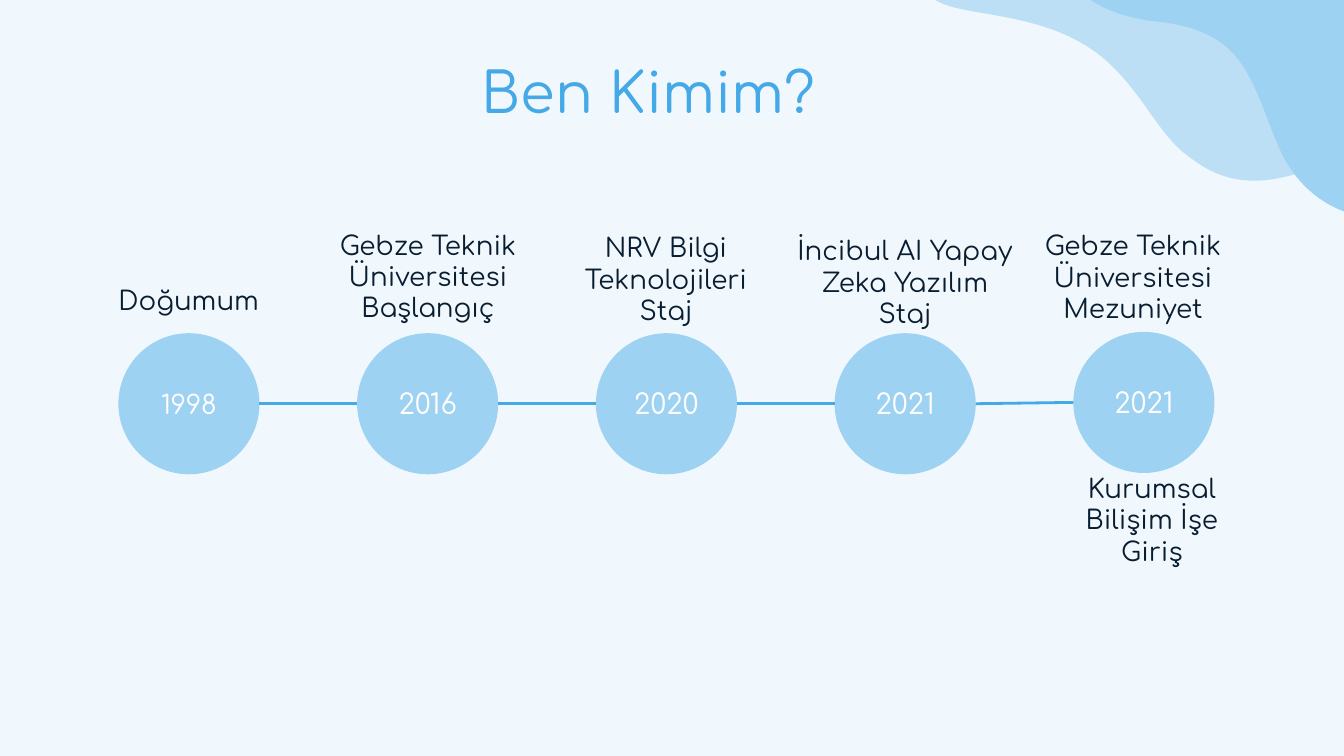
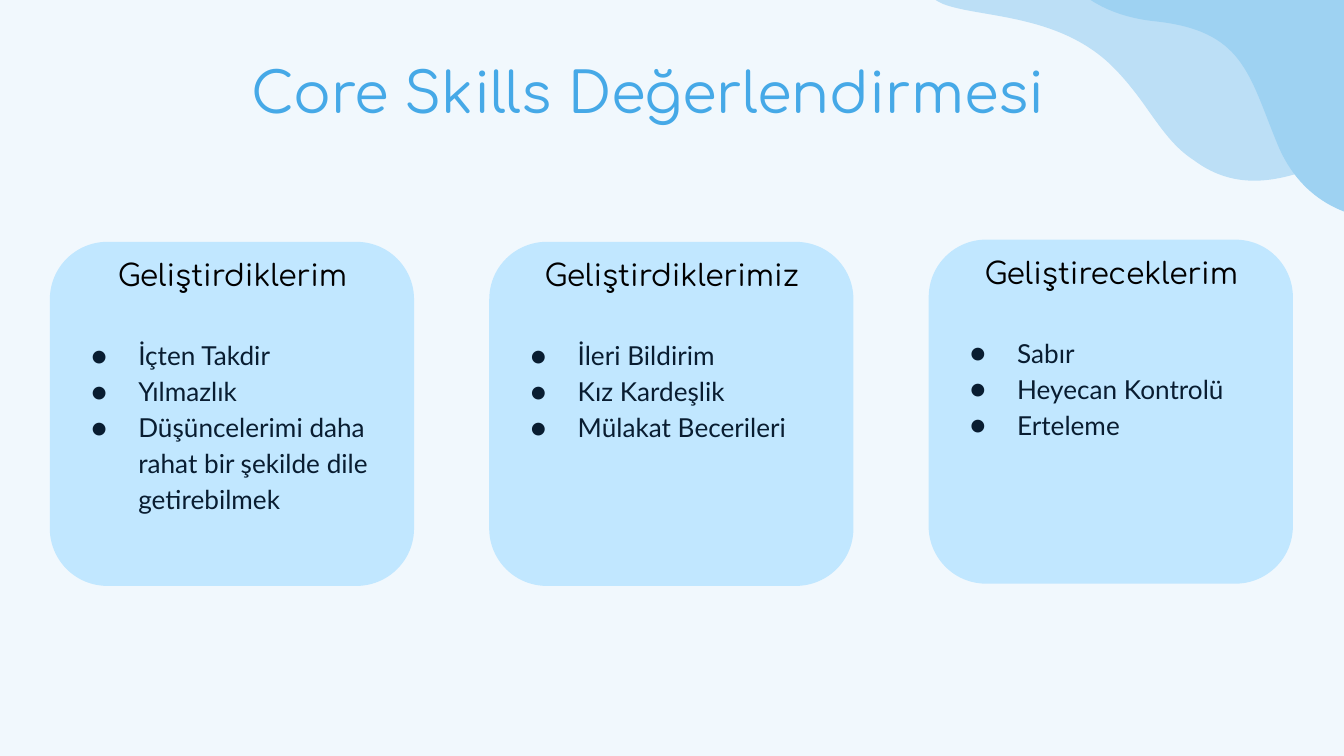
"""Build a timeline slide and a skills slide."""
from dataclasses import dataclass

from lxml.etree import SubElement
from pptx import Presentation
from pptx.dml.color import RGBColor
from pptx.enum.shapes import MSO_CONNECTOR, MSO_SHAPE
from pptx.enum.text import MSO_ANCHOR, PP_ALIGN
from pptx.oxml.ns import qn
from pptx.util import Pt


@dataclass(frozen=True)
class Theme:
    """Colours, fonts and type sizes."""
    blue: str = "46A9E7"
    sky: str = "9ED2F2"
    haze: str = "BCDFF6"
    card: str = "C1E7FF"
    ink: str = "091D31"
    black: str = "000000"
    white: str = "FFFFFF"
    head: str = "Comfortaa"
    body: str = "Lato"
    title: int = 30
    sub: int = 16
    year: int = 15
    text: int = 14


T = Theme()

STOPS = [
    ("1998", T.text, 178.5),
    ("2016", T.year, 178.5),
    ("2020", T.year, 178.5),
    ("2021", T.year, 178.5),
    ("2021", T.year, 177.8),
]
LABELS = [
    (["Doğumum"], (49.7, 144.4, 103, 33.1)),
    (["Gebze Teknik Üniversitesi Başlangıç"], (169.9, 128.5, 118.8, 38.9)),
    (["NRV Bilgi Teknolojileri Staj"], (297.4, 129.9, 118.8, 38.9)),
    (["İncibul AI Yapay Zeka Yazılım", "Staj"], (411.8, 131.4, 146.2, 38.9)),
    (["Gebze Teknik Üniversitesi", "Mezuniyet"], (539.3, 128.9, 135.4, 38.9)),
    (["Kurumsal Bilişim İşe Giriş"], (557.7, 258.8, 118.8, 38.9)),
]
CARDS = [
    ("Geliştirdiklerim", 129.6, 110.9,
     ["İçten Takdir", "Yılmazlık",
      "Düşüncelerimi daha rahat bir şekilde dile getirebilmek"]),
    ("Geliştirdiklerimiz", 129.6, 72,
     ["İleri Bildirim", "Kız Kardeşlik", "Mülakat Becerileri"]),
    ("Geliştireceklerim", 128.4, 72,
     ["Sabır", "Heyecan Kontrolü", "Erteleme"]),
]
WAVES = [
    (T.haze, (476.6, -31.7), [
        (479.5, -23), (490.3, -4.3), (505.4, 2.2),
        (524.2, 9.4), (564.5, 7.2), (593.3, 33.1),
        (601.9, 41), (609.1, 50.4), (615.6, 59.8),
        (622.8, 69.8), (629.3, 79.2), (639.4, 85.7),
        (673.9, 111.6), (709.9, 85.7), (743.8, 73.4),
        (763.2, 66.2), (777.6, 64.8), (802.8, 73.4),
        (820.1, 80.6), (826.6, 94.3), (833, 110.2),
    ], (835.2, -16.6)),
    (T.sky, (557.3, -49), [
        (558, -20.9), (576.7, 7.2), (619.2, 11.5),
        (666, 16.6), (668.9, 39.6), (684, 76.3),
        (697.7, 110.9), (726.5, 116.6), (738, 117.4),
    ], (738, -49)),
]
DISC, STEP, LEFT = 75.6, 127.9, 63.4
CARD_W, CARD_H, CARD_X, CARD_STEP = 195.1, 184.3, 26.7, 235.4


def paint(part, tint):
    part.fill.solid()
    part.fill.fore_color.rgb = RGBColor.from_string(tint)
    part.line.fill.background()
    part.shadow.inherit = False


def write(part, lines, size, tint, font=T.head, dots=False, mid=True):
    frame = part.text_frame
    frame.word_wrap = True
    frame.vertical_anchor = MSO_ANCHOR.MIDDLE if mid else MSO_ANCHOR.TOP
    for side in ("left", "right", "top", "bottom"):
        setattr(frame, "margin_" + side, Pt(7.2))
    for num, line in enumerate(lines):
        para = frame.add_paragraph() if num else frame.paragraphs[0]
        para.alignment = PP_ALIGN.LEFT if dots else PP_ALIGN.CENTER
        if dots:
            dot(para, font)
        run = para.add_run()
        run.text = line
        run.font.size = Pt(size)
        run.font.name = font
        run.font.color.rgb = RGBColor.from_string(tint)


def dot(para, font):
    para.line_spacing = 1.15
    props = para._p.get_or_add_pPr()
    props.set("marL", str(Pt(36)))
    props.set("indent", str(Pt(-25.2)))
    tint = SubElement(props, qn("a:buClr"))
    SubElement(tint, qn("a:srgbClr"), val=T.ink)
    SubElement(props, qn("a:buFont"), typeface=font)
    SubElement(props, qn("a:buChar"), char="●")


def add_text(slide, box, lines, size, tint, **style):
    part = slide.shapes.add_textbox(*map(Pt, box))
    write(part, lines, size, tint, **style)


def add_form(slide, kind, box, tint):
    part = slide.shapes.add_shape(kind, *map(Pt, box))
    paint(part, tint)
    return part


def bend(form, count):
    lines = list(form._element.iter(qn("a:lnTo")))[:count]
    for num in range(0, count, 3):
        trio = lines[num:num + 3]
        curve = trio[0].getparent().makeelement(qn("a:cubicBezTo"))
        trio[0].addprevious(curve)
        for line in trio:
            curve.append(line[0])
            line.getparent().remove(line)


def add_wave(slide, tint, start, knots, end):
    pen = slide.shapes.build_freeform(*map(Pt, start))
    pen.add_line_segments([tuple(map(Pt, spot)) for spot in (*knots, end)])
    form = pen.convert_to_shape()
    bend(form, len(knots))
    paint(form, tint)


def add_slide(deck, title):
    slide = deck.slides.add_slide(deck.slide_layouts[6])
    fill = slide.background.fill
    fill.solid()
    fill.fore_color.rgb = RGBColor.from_string(T.blue)
    tint = slide.background._cSld.find(".//" + qn("a:srgbClr"))
    SubElement(tint, qn("a:alpha"), val="7000")
    for wave in WAVES:
        add_wave(slide, *wave)
    add_text(slide, (44.3, 26.4, 606.2, 44.6), [title], T.title, T.blue)
    return slide


def add_link(slide, start, end):
    link = slide.shapes.add_connector(MSO_CONNECTOR.STRAIGHT, *map(Pt, start + end))
    link.line.color.rgb = RGBColor.from_string(T.blue)
    link.line.width = Pt(1.5)
    SubElement(link._element.spPr, qn("a:effectLst"))


def add_times(deck):
    slide = add_slide(deck, "Ben Kimim?")
    prior = None
    for num, (year, size, top) in enumerate(STOPS):
        left, mid = LEFT + num * STEP, top + DISC / 2
        disc = add_form(slide, MSO_SHAPE.OVAL, (left, top, DISC, DISC), T.sky)
        write(disc, [year], size, T.white)
        if prior:
            add_link(slide, prior, (left, mid))
        prior = (left + DISC, mid)
    for lines, box in LABELS:
        add_text(slide, box, lines, T.text, T.ink)


def add_skills(deck):
    slide = add_slide(deck, "Core Skills Değerlendirmesi")
    for num, (name, top, tall, skills) in enumerate(CARDS):
        left = CARD_X + num * CARD_STEP
        card = add_form(slide, MSO_SHAPE.ROUNDED_RECTANGLE,
                        (left, top, CARD_W, CARD_H), T.card)
        card.adjustments[0] = 0.167
        add_text(slide, (left + 4.3, top + 0.9, 187.2, 33.8), [name],
                 T.sub, T.black, mid=False)
        add_text(slide, (left + 4.3, top + 42.5, 190.8, tall), skills,
                 T.text, T.ink, font=T.body, dots=True, mid=False)


def main():
    deck = Presentation()
    deck.slide_width, deck.slide_height = Pt(720), Pt(405)
    add_times(deck)
    add_skills(deck)
    deck.save("out.pptx")


if __name__ == "__main__":
    main()
